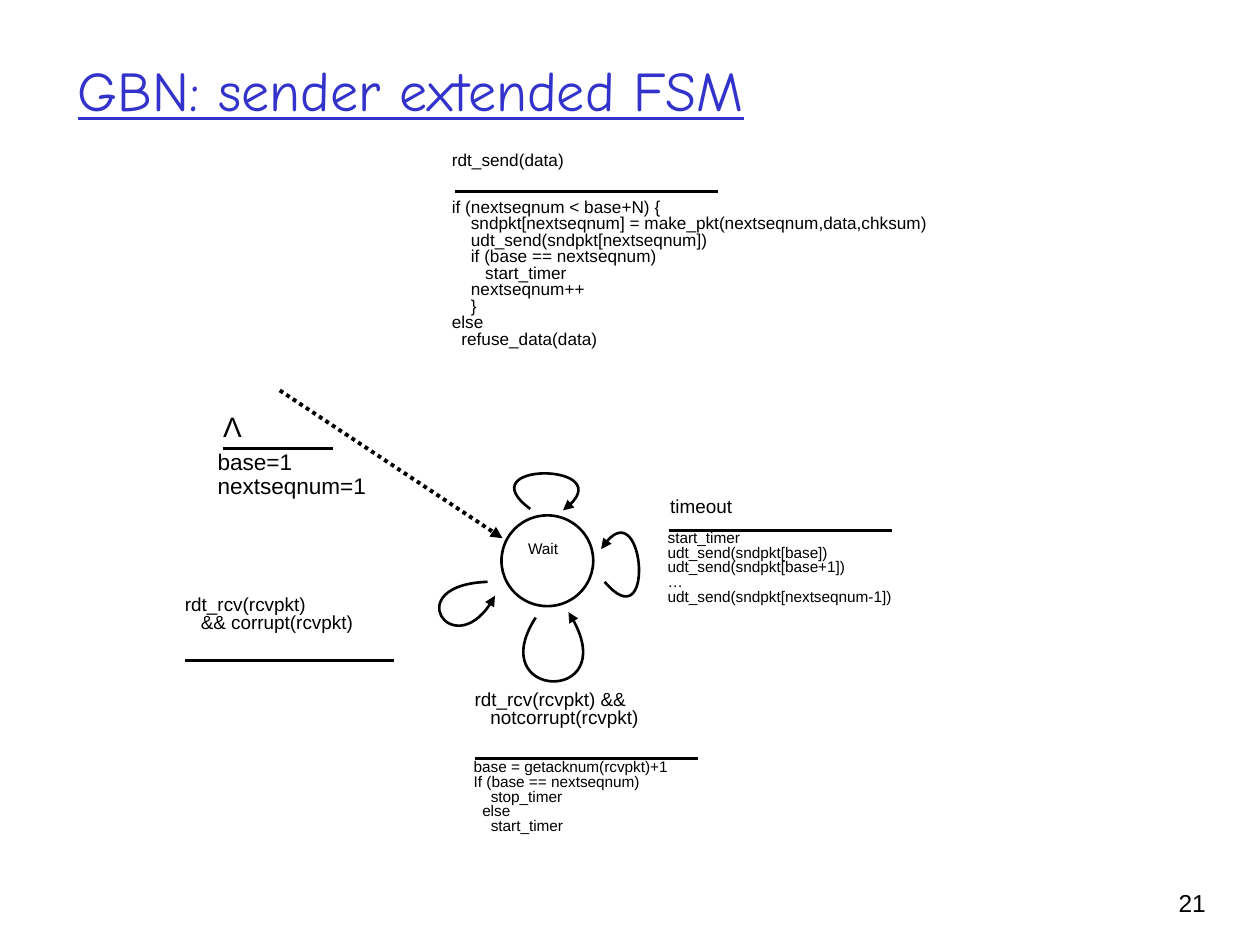
from lxml.etree import SubElement
from pptx import Presentation
from pptx.dml.color import RGBColor
from pptx.enum.dml import MSO_LINE as Dash
from pptx.enum.shapes import MSO_CONNECTOR as Link, MSO_SHAPE as Form
from pptx.enum.text import MSO_ANCHOR as Anchor, PP_ALIGN as Align
from pptx.oxml.ns import qn
from pptx.util import Cm, Pt

BLACK = RGBColor(0, 0, 0)
WHITE = RGBColor(255, 255, 255)
BLUE = RGBColor(0x33, 0x33, 0xCC)
SPACE = 0.278

deck = Presentation()
deck.slide_width, deck.slide_height = Cm(25.4), Cm(19.05)
slide = deck.slides.add_slide(deck.slide_layouts[6])
shapes = slide.shapes


def ink(shape, width, arrow=False, dash=None):
    line = shape.line
    line.color.rgb = BLACK
    line.width = Pt(width)
    if dash:
        line.dash_style = dash
    props = shape._element.spPr
    if arrow:
        SubElement(props.find(qn("a:ln")), qn("a:tailEnd"), type="triangle")
    SubElement(props, qn("a:effectLst"))


def write(box, text, size, gap=0.8, align=Align.LEFT, face="Arial", color=BLACK):
    area = shapes.add_textbox(*map(Cm, box))
    frame = area.text_frame
    frame.word_wrap = True
    rows = text.split("\n")
    frame.text = "\n".join(row.lstrip() for row in rows)
    for row, para in zip(rows, frame.paragraphs):
        indent = len(row) - len(row.lstrip())
        if indent:
            para._p.get_or_add_pPr().set("marL", str(Pt(indent * SPACE * size)))
        para.alignment = align
        para.line_spacing = gap
        para.font.size = Pt(size)
        para.font.name = face
        para.font.color.rgb = color
    return frame


write((22.68, 17.78, 1.88, 1.27), "21", 14, 1.0, Align.RIGHT)
title = write((1.32, 0.81, 21.59, 1.96), "GBN: sender extended FSM", 32, 1.0,
              face="Comic Neue", color=BLUE)
title.vertical_anchor = Anchor.MIDDLE
title.paragraphs[0].font.underline = True

state = shapes.add_shape(Form.OVAL, Cm(10.11), Cm(10.39), Cm(1.85), Cm(1.83))
state.fill.solid()
state.fill.fore_color.rgb = WHITE
ink(state, 1.5)
write((9.83, 10.82, 2.24, 0.66), "Wait", 8.8, align=Align.CENTER)

start = shapes.add_connector(Link.STRAIGHT, Cm(5.64), Cm(7.87), Cm(10.13), Cm(10.85))
ink(start, 2.25, True, Dash.ROUND_DOT)

rules = [
    (13.49, 17.98, 10.69, 1.5),
    (9.17, 14.48, 3.86, 2.25),
    (9.58, 14.07, 15.29, 2.25),
    (4.5, 6.71, 9.04, 1.5),
    (3.73, 7.95, 13.31, 1.5),
]
for left, right, y, width in rules:
    rule = shapes.add_connector(Link.STRAIGHT, Cm(left), Cm(y), Cm(right), Cm(y))
    ink(rule, width)

loops = [
    [(12.19, 11.73), (13.21, 12.93), (12.98, 9.73), (12.12, 11.07)],
    [(10.69, 10.26), (9.42, 9.32), (12.65, 9.32), (11.35, 10.29)],
    [(10.8, 12.45), (9.73, 14.1), (12.67, 14.22), (11.46, 12.34)],
    [(9.83, 11.73), (8.05, 11.79), (9.19, 13.49), (9.98, 12.01)],
]
for loop in loops:
    first, *rest = [(Cm(x), Cm(y)) for x, y in loop]
    pen = shapes.build_freeform(*first)
    pen.add_line_segments(rest, close=False)
    curve = pen.convert_to_shape()
    curve.fill.background()
    legs = list(curve._element.iter(qn("a:lnTo")))
    route = legs[0].getparent()
    bend = SubElement(route, qn("a:cubicBezTo"))
    for leg in legs:
        bend.append(leg[0])
        route.remove(leg)
    ink(curve, 1.5, True)

write((13.26, 9.93, 3.05, 0.76), "timeout", 10.8)
write((13.21, 10.59, 7.72, 2.31), """start_timer
udt_send(sndpkt[base])
udt_send(sndpkt[base+1])
…
udt_send(sndpkt[nextseqnum-1])""", 8.8)

write((8.86, 2.97, 6.48, 0.71), "rdt_send(data)", 9.8)
write((8.86, 3.91, 15.34, 4.06), """if (nextseqnum < base+N) {
    sndpkt[nextseqnum] = make_pkt(nextseqnum,data,chksum)
    udt_send(sndpkt[nextseqnum])
    if (base == nextseqnum)
       start_timer
    nextseqnum++
    }
else
  refuse_data(data)""", 9.8)

write((9.32, 13.82, 7.87, 1.24), """rdt_rcv(rcvpkt) &&
   notcorrupt(rcvpkt)""", 10.8)
write((9.3, 15.21, 10.24, 2.31), """base = getacknum(rcvpkt)+1
If (base == nextseqnum)
    stop_timer
  else
    start_timer""", 8.8)

write((3.48, 11.91, 5.69, 1.24), """rdt_rcv(rcvpkt)
   && corrupt(rcvpkt)""", 10.8)

event = write((4.24, 8.13, 0.89, 0.94), "Λ", 16, 1.0, Align.CENTER)
event.word_wrap = False
write((4.14, 8.97, 4.11, 1.4), "base=1\nnextseqnum=1", 12.9, 0.9)

deck.save("out.pptx")
